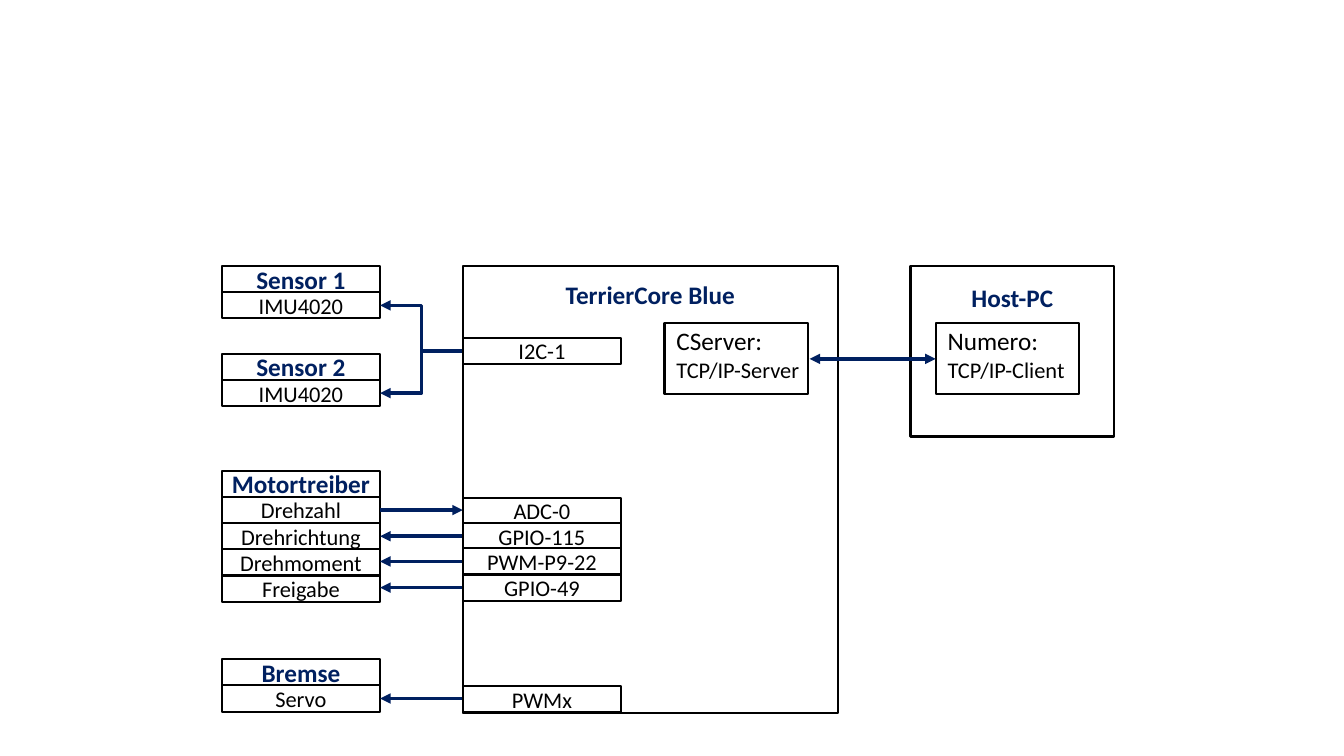
from dataclasses import dataclass

import pptx
import pptx.dml.color
import pptx.enum.shapes
import pptx.enum.text
import pptx.oxml
import pptx.oxml.ns
import pptx.util
from pptx.util import Inches

NAVY, BLACK, WHITE = "002060", "000000", "FFFFFF"
FONT = "Calibri"
MODULE_X, BOARD_X = 2.2, 4.59
ROW_W, ROW_H = 1.57, 0.26
MODULE_RIGHT = MODULE_X + ROW_W


@dataclass(frozen=True)
class Frame:
    x: float
    y: float
    width: float
    height: float


@dataclass(frozen=True)
class Host:
    frame: Frame
    heading: str
    heading_y: float


@dataclass(frozen=True)
class Program:
    x: float
    name: str
    role: str


@dataclass(frozen=True)
class Module:
    y: float
    heading: str
    signals: tuple[str, ...]


@dataclass(frozen=True)
class Port:
    y: float
    label: str


@dataclass(frozen=True)
class Link:
    """A line from left to right, with an arrowhead at one or both ends."""
    x1: float
    y1: float
    x2: float
    y2: float
    left_head: bool = True
    right_head: bool = False


HOSTS = [
    Host(Frame(BOARD_X, 2.64, 3.72, 4.43), "TerrierCore Blue", 2.72),
    Host(Frame(9.03, 2.64, 2.02, 1.69), "Host-PC", 2.75),
]
PROGRAMS = [
    Program(6.59, "CServer:", "TCP/IP-Server"),
    Program(9.28, "Numero:", "TCP/IP-Client"),
]
MODULES = [
    Module(2.64, "Sensor 1", ("IMU4020",)),
    Module(3.51, "Sensor 2", ("IMU4020",)),
    Module(4.67, "Motortreiber",
           ("Drehzahl", "Drehrichtung", "Drehmoment", "Freigabe")),
    Module(6.54, "Bremse", ("Servo",)),
]
PORTS = [
    Port(3.35, "I2C-1"),
    Port(4.94, "ADC-0"),
    Port(5.19, "GPIO-115"),
    Port(5.44, "PWM-P9-22"),
    Port(5.7, "GPIO-49"),
    Port(6.81, "PWMx"),
]
LINKS = [
    Link(8.03, 3.56, 9.28, 3.56, right_head=True),
    Link(MODULE_RIGHT, 3.03, BOARD_X, 3.48),
    Link(MODULE_RIGHT, 3.9, BOARD_X, 3.48),
    Link(MODULE_RIGHT, 5.06, BOARD_X, 5.06, left_head=False, right_head=True),
    *(Link(MODULE_RIGHT, y, BOARD_X, y) for y in (5.32, 5.57, 5.83, 6.93)),
]


def color(value: str) -> pptx.dml.color.RGBColor:
    return pptx.dml.color.RGBColor.from_string(value)


def format_paragraph(paragraph, text: str, size: int, ink: str = BLACK,
                     bold: bool = False, centered: bool = True) -> None:
    paragraph.text = text
    align = pptx.enum.text.PP_ALIGN
    paragraph.alignment = align.CENTER if centered else align.LEFT
    paragraph.font.name = FONT
    paragraph.font.size = pptx.util.Pt(size)
    paragraph.font.bold = bold
    paragraph.font.color.rgb = color(ink)


def add_box(slide, frame: Frame):
    box = slide.shapes.add_shape(
        pptx.enum.shapes.MSO_SHAPE.RECTANGLE, Inches(frame.x),
        Inches(frame.y), Inches(frame.width), Inches(frame.height))
    box.shadow.inherit = False
    box.fill.solid()
    box.fill.fore_color.rgb = color(WHITE)
    box.line.color.rgb = color(BLACK)
    box.line.width = pptx.util.Pt(1.5)
    return box


def add_row(slide, x: float, y: float, text: str, heading: bool = False) -> None:
    words = add_box(slide, Frame(x, y, ROW_W, ROW_H)).text_frame
    words.margin_left = words.margin_right = Inches(0.05)
    words.vertical_anchor = pptx.enum.text.MSO_ANCHOR.MIDDLE
    words.word_wrap = True
    if heading:
        format_paragraph(words.paragraphs[0], text, 18, NAVY, bold=True)
    else:
        format_paragraph(words.paragraphs[0], text, 16)


def add_text(slide, frame: Frame):
    words = slide.shapes.add_textbox(
        Inches(frame.x), Inches(frame.y),
        Inches(frame.width), Inches(frame.height)).text_frame
    words.word_wrap = True
    return words


def add_host(slide, host: Host) -> None:
    add_box(slide, host.frame)
    words = add_text(
        slide, Frame(host.frame.x, host.heading_y, host.frame.width, 0.4))
    format_paragraph(words.paragraphs[0], host.heading, 18, NAVY, bold=True)


def add_program(slide, program: Program) -> None:
    add_box(slide, Frame(program.x, 3.2, 1.42, 0.71))
    words = add_text(slide, Frame(program.x + 0.02, 3.18, 1.62, 0.67))
    format_paragraph(words.paragraphs[0], program.name, 18, centered=False)
    format_paragraph(words.add_paragraph(), program.role, 16, centered=False)


def add_module(slide, module: Module) -> None:
    for index, text in enumerate((module.heading, *module.signals)):
        add_row(slide, MODULE_X, module.y + index * ROW_H, text, index == 0)


def add_link(slide, link: Link) -> None:
    kinds = pptx.enum.shapes.MSO_CONNECTOR
    kind = kinds.STRAIGHT if link.y1 == link.y2 else kinds.ELBOW
    connector = slide.shapes.add_connector(
        kind, Inches(link.x1), Inches(link.y1),
        Inches(link.x2), Inches(link.y2))
    connector.line.color.rgb = color(NAVY)
    connector.line.width = pptx.util.Pt(2.5)
    line = connector.line._get_or_add_ln()
    for tag, shown in (("headEnd", link.left_head), ("tailEnd", link.right_head)):
        if shown:
            end = pptx.oxml.parse_xml(
                f'<a:{tag} {pptx.oxml.ns.nsdecls("a")} type="triangle"/>')
            line.append(end)
    connector._element.spPr.append(
        pptx.oxml.parse_xml(f'<a:effectLst {pptx.oxml.ns.nsdecls("a")}/>'))


def main() -> None:
    deck = pptx.Presentation()
    deck.slide_width, deck.slide_height = Inches(13.33), Inches(7.5)
    slide = deck.slides.add_slide(deck.slide_layouts[6])
    for host in HOSTS:
        add_host(slide, host)
    for program in PROGRAMS:
        add_program(slide, program)
    for module in MODULES:
        add_module(slide, module)
    for link in LINKS:
        add_link(slide, link)
    for port in PORTS:
        add_row(slide, BOARD_X, port.y, port.label)
    deck.save("out.pptx")


if __name__ == "__main__":
    main()
